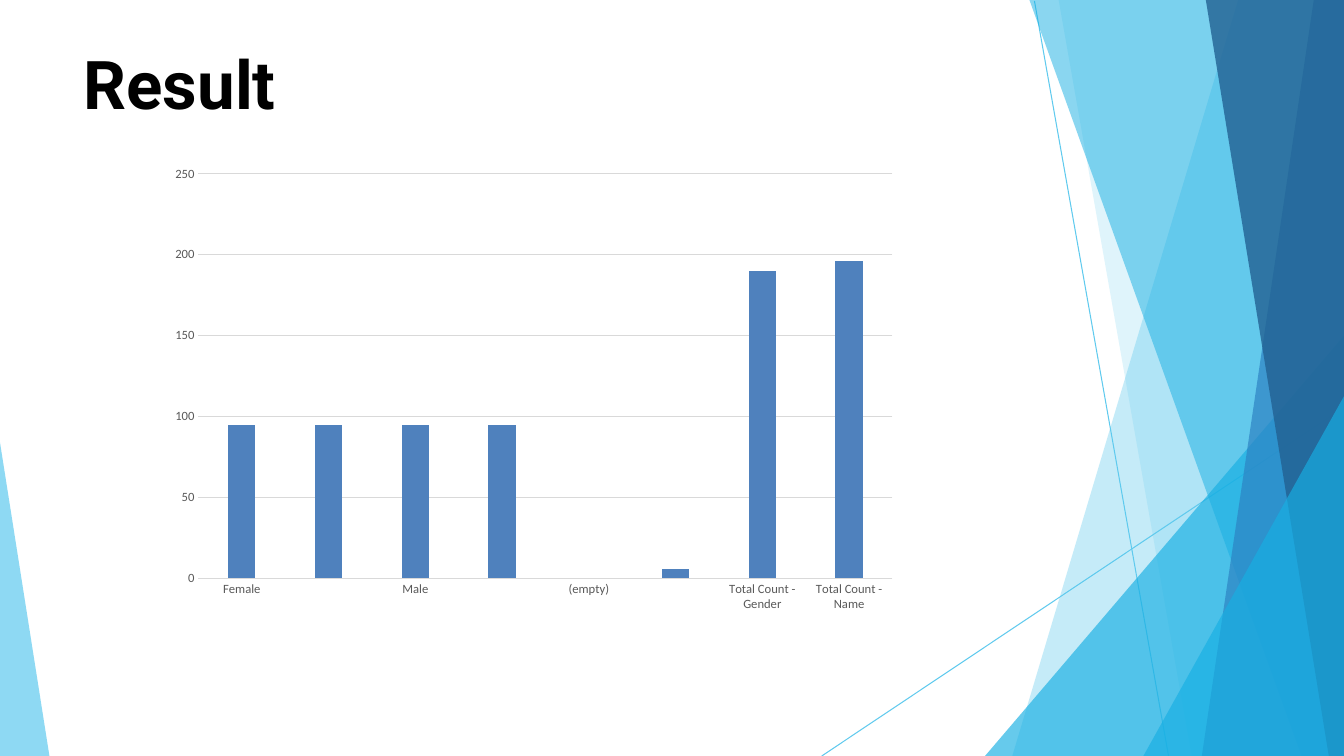
from dataclasses import dataclass

import pptx
import pptx.chart.data
import pptx.dml.color
import pptx.enum.chart
import pptx.enum.shapes
import pptx.enum.text
import pptx.oxml.ns
import pptx.util
from lxml import etree

Inches = pptx.util.Inches
Pt = pptx.util.Pt
W, H = 13.33, 7.5
Point = tuple[float, float]


@dataclass
class Facet:
    points: list[Point]
    color: str
    alpha: int  # percent


@dataclass
class Ray:
    start: Point
    end: Point


RAYS = [Ray((10.26, 0.01), (11.59, H)), Ray((W, 4.04), (8.15, H))]
FACETS = [
    Facet([(W, 0), (12.28, 0), (10.04, H), (W, H)], "5FCAEE", 36),
    Facet([(W, 0), (10.5, 0), (11.82, H), (W, H)], "5FCAEE", 20),
    Facet([(W, 3.33), (9.77, H), (W, H)], "17AFE3", 66),
    Facet([(W, 0), (10.21, 0), (12.91, H), (W, H)], "17AFE3", 50),
    Facet([(W, 0), (13.03, 0), (11.92, H), (W, H)], "2D83C3", 70),
    Facet([(W, 0), (11.96, 0), (13.18, H), (W, H)], "226192", 80),
    Facet([(W, 3.93), (11.34, H), (W, H)], "17AFE3", 66),
    Facet([(0, 4.39), (0, H), (0.49, H)], "5FCAEE", 70),
]
COUNTS = [
    ("Female", 95), ("", 95), ("Male", 95), ("", 95), ("(empty)", None),
    ("", 6), ("Total Count - Gender", 190), ("Total Count - Name", 196),
]


def rgb(color: str) -> pptx.dml.color.RGBColor:
    return pptx.dml.color.RGBColor.from_string(color)


def style_line(line, color: str) -> None:
    line.color.rgb = rgb(color)
    line.width = Pt(0.75)


def style_font(font, name: str, size: float, color: str, bold: bool = False) -> None:
    font.name, font.size, font.bold = name, Pt(size), bold
    font.color.rgb = rgb(color)


def draw_ray(s, ray: Ray) -> None:
    ends = [Inches(v) for v in ray.start + ray.end]
    line = s.shapes.add_connector(pptx.enum.shapes.MSO_CONNECTOR.STRAIGHT, *ends)
    style_line(line.line, "5FCAEE")
    etree.SubElement(line._element.spPr, pptx.oxml.ns.qn("a:effectLst"))


def draw_facet(s, facet: Facet) -> None:
    first, *rest = [(Inches(x), Inches(y)) for x, y in facet.points]
    builder = s.shapes.build_freeform(*first)
    builder.add_line_segments(rest, close=True)
    sp = builder.convert_to_shape()
    sp.shadow.inherit = False
    sp.line.fill.background()
    sp.fill.solid()
    sp.fill.fore_color.rgb = rgb(facet.color)
    clr = sp._element.spPr.find(".//" + pptx.oxml.ns.qn("a:srgbClr"))
    etree.SubElement(clr, pptx.oxml.ns.qn("a:alpha"), val=str(facet.alpha * 1000))


def draw_title(s, text: str) -> None:
    box = s.shapes.add_textbox(Inches(0.83), Inches(0.42), Inches(11.68), Inches(0.83))
    tf = box.text_frame
    tf.word_wrap = True
    tf.vertical_anchor = pptx.enum.text.MSO_ANCHOR.TOP
    tf.margin_left = tf.margin_top = tf.margin_right = tf.margin_bottom = 0
    r = tf.paragraphs[0].add_run()
    r.text = text
    style_font(r.font, "Roboto", 48, "000000", bold=True)


def draw_chart(s) -> None:
    data = pptx.chart.data.CategoryChartData()
    data.categories = [label for label, _ in COUNTS]
    data.add_series("Series 1", [count for _, count in COUNTS])
    chart = s.shapes.add_chart(
        pptx.enum.chart.XL_CHART_TYPE.COLUMN_CLUSTERED,
        Inches(1.59), Inches(1.56), Inches(7.41), Inches(4.6), data,
    ).chart
    chart.has_title = chart.has_legend = False
    style_font(chart.font, "Calibri", 10, "000000")

    plot = chart.plots[0]
    plot.gap_width, plot.overlap = 219, -27
    plot.vary_by_categories = False
    fill = plot.series[0].format.fill
    fill.solid()
    fill.fore_color.rgb = rgb("4F81BD")

    for axis in (chart.category_axis, chart.value_axis):
        axis.major_tick_mark = axis.minor_tick_mark = pptx.enum.chart.XL_TICK_MARK.NONE
        style_font(axis.tick_labels.font, "Calibri", 9, "595959")
    style_line(chart.category_axis.format.line, "D9D9D9")
    chart.value_axis.format.line.fill.background()
    style_line(chart.value_axis.major_gridlines.format.line, "D9D9D9")


def main() -> None:
    prs = pptx.Presentation()
    prs.slide_width, prs.slide_height = Inches(W), Inches(H)
    s = prs.slides.add_slide(prs.slide_layouts[6])

    # Background rays and facets
    for ray in RAYS:
        draw_ray(s, ray)
    for facet in FACETS:
        draw_facet(s, facet)

    # Content
    draw_title(s, "Result")
    draw_chart(s)
    prs.save("out.pptx")


if __name__ == "__main__":
    main()
